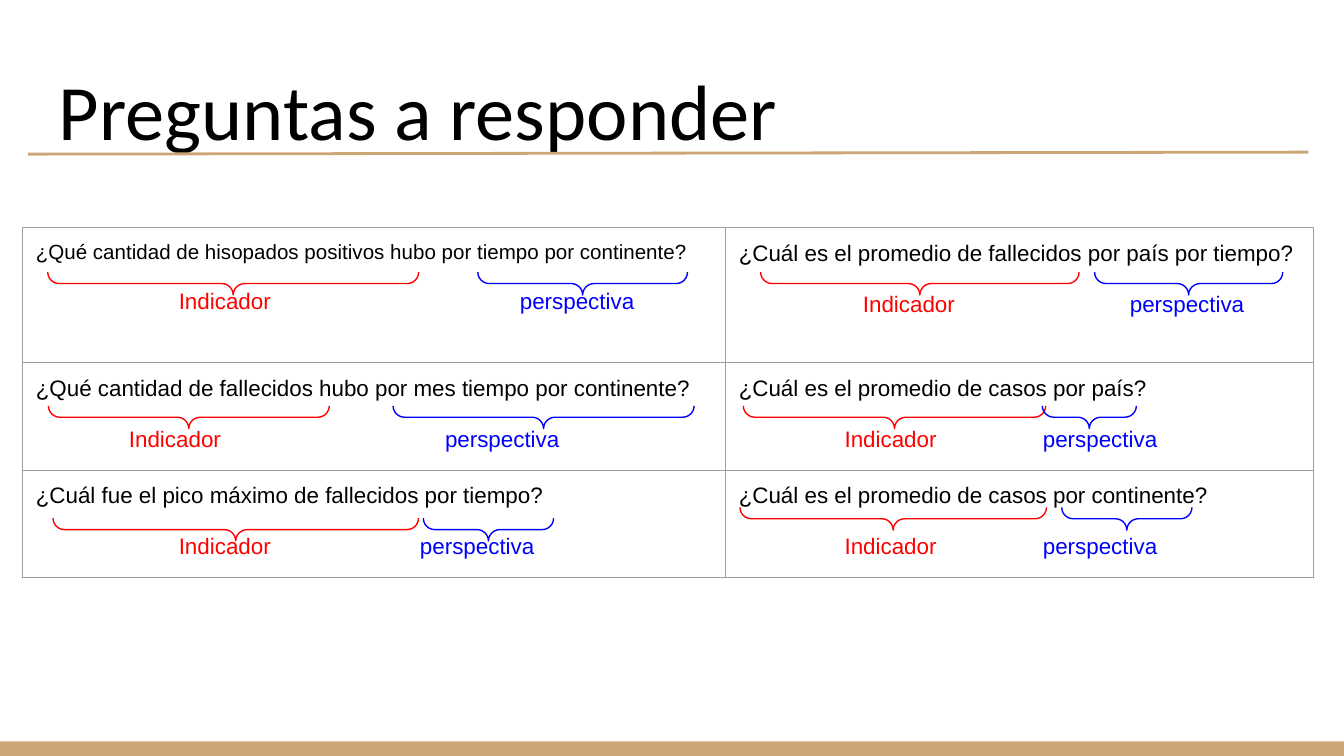
from dataclasses import dataclass

from lxml import etree
from pptx import Presentation
from pptx.dml.color import RGBColor
from pptx.enum.shapes import MSO_CONNECTOR, MSO_SHAPE
from pptx.enum.text import MSO_ANCHOR
from pptx.oxml.ns import qn
from pptx.util import Pt

LEFT_BRACE = MSO_SHAPE.LEFT_BRACE
RECTANGLE = MSO_SHAPE.RECTANGLE
STRAIGHT = MSO_CONNECTOR.STRAIGHT
BOTTOM = MSO_ANCHOR.BOTTOM


@dataclass(frozen=True)
class Theme:
    ink: RGBColor = RGBColor(0x00, 0x00, 0x00)
    accent: RGBColor = RGBColor(0xCC, 0xA6, 0x77)
    indicator: RGBColor = RGBColor(0xFF, 0x00, 0x00)
    perspective: RGBColor = RGBColor(0x00, 0x00, 0xFF)
    border: str = "9E9E9E"
    title_font: str = "Calibri"
    body_font: str = "Arial"
    title_size: float = 42
    body_size: float = 12
    small_size: float = 11


@dataclass(frozen=True)
class Part:
    """A labelled span of a question; label_x is measured from the cell text."""
    label_x: float
    brace_left: float
    brace_width: float


@dataclass(frozen=True)
class Question:
    text: str
    brace_top: float
    indicator: Part
    perspective: Part
    size: float = Theme.body_size


THEME = Theme()
SLIDE_WIDTH, SLIDE_HEIGHT = 720, 405
FOOTER_HEIGHT = 7.8
INSET = 7.2
BRACE_DEPTH = 12.2
THIN_LINE = 0.75
LABEL_GAP = 13.8
TABLE_LEFT, TABLE_TOP = 12, 121.9
COLUMN_WIDTHS = (376.6, 315.2)
ROW_HEIGHTS = (72.4, 57.6, 57.6)

QUESTIONS = (
    (
        Question("¿Qué cantidad de hisopados positivos hubo por tiempo por continente?", 145.8,
                 Part(76.6, 25.6, 198.7), Part(259.3, 256, 112.3), THEME.small_size),
        Question("¿Cuál es el promedio de fallecidos por país por tiempo?", 145.8,
                 Part(66.5, 407.5, 170.6), Part(209.5, 586.4, 100.8)),
    ),
    (
        Question("¿Qué cantidad de fallecidos hubo por mes tiempo por continente?", 217.4,
                 Part(49.9, 25.9, 150.5), Part(219.2, 210.6, 161.3)),
        Question("¿Cuál es el promedio de casos por país?", 217.4,
                 Part(56.7, 398.2, 162), Part(162.9, 558.4, 50.4)),
    ),
    (
        Question("¿Cuál fue el pico máximo de fallecidos por tiempo?", 277.6,
                 Part(76.6, 28.4, 195.8), Part(205.8, 226.8, 69.8)),
        Question("¿Cuál es el promedio de casos por continente?", 271.8,
                 Part(56.7, 396.4, 164.2), Part(162.9, 568.8, 69.8)),
    ),
)


def set_insets(box) -> None:
    box.margin_left = box.margin_right = box.margin_top = box.margin_bottom = Pt(INSET)


def add_footer(slide) -> None:
    footer = slide.shapes.add_shape(RECTANGLE, 0, Pt(SLIDE_HEIGHT - FOOTER_HEIGHT),
                                    Pt(SLIDE_WIDTH), Pt(FOOTER_HEIGHT))
    footer.shadow.inherit = False
    footer.fill.solid()
    footer.fill.fore_color.rgb = THEME.accent
    footer.line.fill.background()


def add_title(slide, text: str) -> None:
    frame = slide.shapes.add_textbox(Pt(24.5), Pt(25.2), Pt(671), Pt(65.5)).text_frame
    frame.word_wrap = True
    frame.vertical_anchor = BOTTOM
    set_insets(frame)
    title = frame.paragraphs[0]
    title.text = text
    title.font.name = THEME.title_font
    title.font.size = Pt(THEME.title_size)
    title.font.color.rgb = THEME.ink


def add_title_rule(slide) -> None:
    rule = slide.shapes.add_connector(STRAIGHT, Pt(15), Pt(82.6), Pt(701), Pt(81.5))
    rule.line.color.rgb = THEME.accent
    rule.line.width = Pt(1.5)
    etree.SubElement(rule.element.spPr, qn("a:effectLst"))


def set_borders(cell) -> None:
    properties = cell._tc.get_or_add_tcPr()
    for index, side in enumerate(("lnL", "lnR", "lnT", "lnB")):
        border = etree.Element(qn(f"a:{side}"), w=str(int(Pt(THIN_LINE))))
        fill = etree.SubElement(border, qn("a:solidFill"))
        etree.SubElement(fill, qn("a:srgbClr"), val=THEME.border)
        properties.insert(index, border)


def add_tab_stops(paragraph, positions: tuple[float, ...]) -> None:
    stops = etree.SubElement(paragraph._p.get_or_add_pPr(), qn("a:tabLst"))
    for position in positions:
        etree.SubElement(stops, qn("a:tab"), pos=str(int(Pt(position))), algn="l")


def fill_cell(cell, question: Question) -> None:
    cell.fill.background()
    set_borders(cell)
    set_insets(cell)

    wording = cell.text_frame.paragraphs[0]
    wording.text = question.text
    wording.font.name = THEME.body_font
    wording.font.size = Pt(question.size)
    wording.font.color.rgb = THEME.ink

    labels = cell.text_frame.add_paragraph()
    add_tab_stops(labels, (question.indicator.label_x, question.perspective.label_x))
    labels.space_before = Pt(LABEL_GAP)
    labels.font.name = THEME.body_font
    labels.font.size = Pt(THEME.body_size)
    for label, color in (("Indicador", THEME.indicator), ("perspectiva", THEME.perspective)):
        run = labels.add_run()
        run.text = f"\t{label}"
        run.font.color.rgb = color


def add_question_table(slide) -> None:
    table = slide.shapes.add_table(
        len(ROW_HEIGHTS), len(COLUMN_WIDTHS), Pt(TABLE_LEFT), Pt(TABLE_TOP),
        Pt(sum(COLUMN_WIDTHS)), Pt(sum(ROW_HEIGHTS))).table
    table.first_row = table.horz_banding = False
    for column, width in zip(table.columns, COLUMN_WIDTHS):
        column.width = Pt(width)
    for row, height, questions in zip(table.rows, ROW_HEIGHTS, QUESTIONS):
        row.height = Pt(height)
        for cell, question in zip(row.cells, questions):
            fill_cell(cell, question)


def add_brace(slide, part: Part, top: float, color: RGBColor) -> None:
    """Draw a brace pointing down; it is turned about its centre into place."""
    center_x = part.brace_left + part.brace_width / 2
    center_y = top + BRACE_DEPTH / 2
    brace = slide.shapes.add_shape(
        LEFT_BRACE, Pt(center_x - BRACE_DEPTH / 2), Pt(center_y - part.brace_width / 2),
        Pt(BRACE_DEPTH), Pt(part.brace_width))
    brace.rotation = 270
    brace.adjustments[0] = brace.adjustments[1] = 0.5
    brace.shadow.inherit = False
    brace.fill.background()
    brace.line.color.rgb = color
    brace.line.width = Pt(THIN_LINE)


def main() -> None:
    presentation = Presentation()
    presentation.slide_width = Pt(SLIDE_WIDTH)
    presentation.slide_height = Pt(SLIDE_HEIGHT)
    slide = presentation.slides.add_slide(presentation.slide_layouts[6])
    add_footer(slide)
    add_title(slide, "Preguntas a responder")
    add_title_rule(slide)
    add_question_table(slide)
    for questions in QUESTIONS:
        for question in questions:
            add_brace(slide, question.indicator, question.brace_top, THEME.indicator)
            add_brace(slide, question.perspective, question.brace_top, THEME.perspective)
    presentation.save("out.pptx")


if __name__ == "__main__":
    main()
